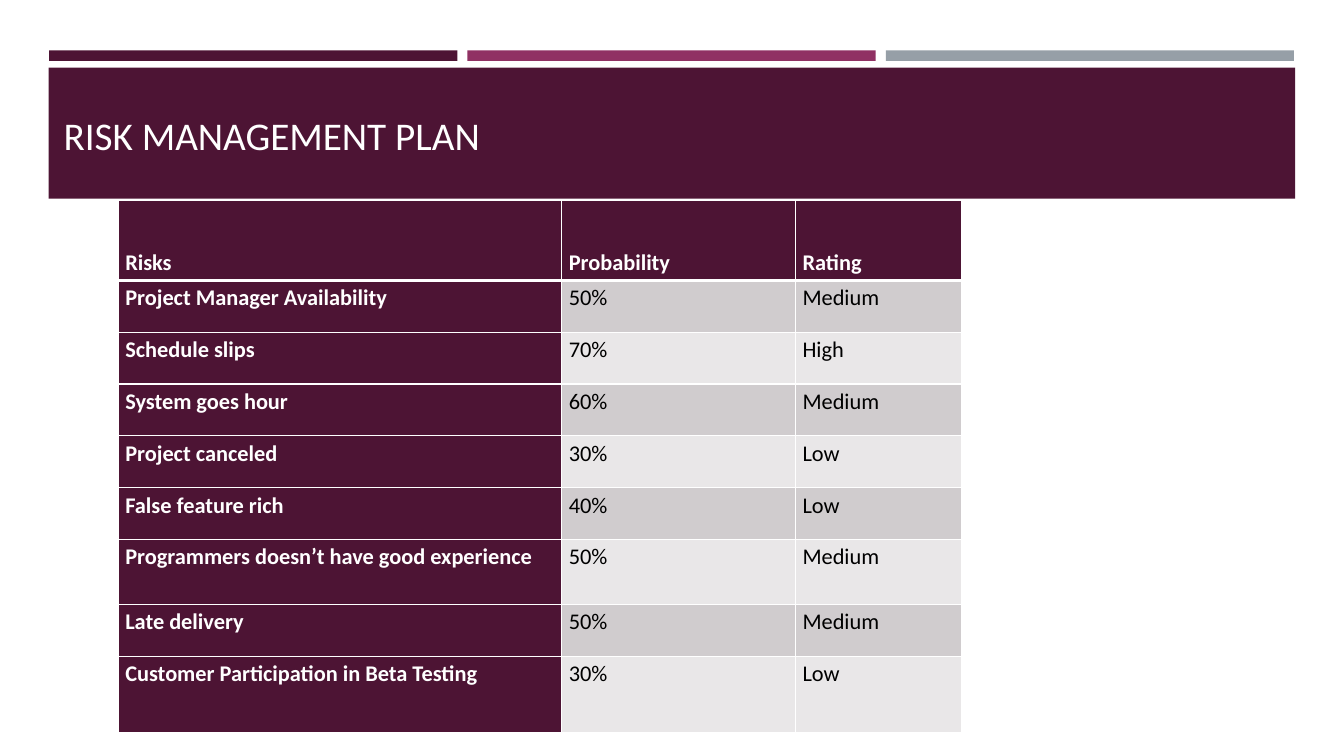
from dataclasses import dataclass

from lxml import etree
from pptx import Presentation
from pptx.dml.color import RGBColor
from pptx.enum.shapes import MSO_SHAPE
from pptx.enum.text import MSO_ANCHOR, MSO_AUTO_SIZE, PP_ALIGN
from pptx.oxml.ns import qn
from pptx.slide import Slide
from pptx.table import _Cell
from pptx.util import Pt

RECTANGLE = MSO_SHAPE.RECTANGLE
TOP, BOTTOM = MSO_ANCHOR.TOP, MSO_ANCHOR.BOTTOM
LEFT, JUSTIFY = PP_ALIGN.LEFT, PP_ALIGN.JUSTIFY
NO_AUTOFIT = MSO_AUTO_SIZE.NONE

PLUM = RGBColor(0x4D, 0x14, 0x34)
MAGENTA = RGBColor(0x90, 0x31, 0x63)
SLATE = RGBColor(0x96, 0x9F, 0xA7)
DARK_BAND = RGBColor(0xD0, 0xCC, 0xCE)
LIGHT_BAND = RGBColor(0xE9, 0xE7, 0xE8)
WHITE = RGBColor(0xFF, 0xFF, 0xFF)
BLACK = RGBColor(0x00, 0x00, 0x00)

FONT = "Calibri"
BAR_LEFT, BAR_PITCH = 35.1, 298.8
COLUMN_WIDTHS = (316.8, 167, 118.8)
HEADINGS = ("Risks", "Probability", "Rating")
HEADER_HEIGHT = 57.5
THIN, THICK = 1, 3


@dataclass
class Block:
    left: float
    top: float
    width: float
    height: float
    color: RGBColor


@dataclass
class Risk:
    name: str
    probability: str
    rating: str
    height: float = 37


RISKS = (
    Risk("Project Manager Availability", "50%", "Medium"),
    Risk("Schedule slips", "70%", "High"),
    Risk("System goes hour", "60%", "Medium"),
    Risk("Project canceled", "30%", "Low"),
    Risk("False feature rich", "40%", "Low"),
    Risk("Programmers doesn’t have good experience", "50%", "Medium", 46.5),
    Risk("Late delivery", "50%", "Medium"),
    Risk("Customer Participation in Beta Testing", "30%", "Low", 54.7),
)


def add_block(page: Slide, block: Block) -> None:
    box = page.shapes.add_shape(
        RECTANGLE, Pt(block.left), Pt(block.top), Pt(block.width), Pt(block.height)
    )
    box.shadow.inherit = False
    box.fill.solid()
    box.fill.fore_color.rgb = block.color
    box.line.fill.background()


def add_span(para, text: str, size: float, color: RGBColor, bold: bool) -> None:
    span = para.add_run()
    span.text = text
    span.font.name = FONT
    span.font.size = Pt(size)
    span.font.bold = bold
    span.font.color.rgb = color


def set_borders(cell: _Cell, top: float, bottom: float) -> None:
    properties = cell._tc.get_or_add_tcPr()
    for side, width in (("L", THIN), ("R", THIN), ("T", top), ("B", bottom)):
        line = etree.SubElement(properties, qn(f"a:ln{side}"), w=str(Pt(width)))
        fill = etree.SubElement(line, qn("a:solidFill"))
        etree.SubElement(fill, qn("a:srgbClr"), val=str(WHITE))


def fill_cell(cell: _Cell, text: str, fill: RGBColor, color: RGBColor, bold: bool) -> None:
    cell.margin_left = cell.margin_right = Pt(5.2)
    cell.margin_top = cell.margin_bottom = Pt(0)
    cell.vertical_anchor = TOP
    cell.fill.solid()
    cell.fill.fore_color.rgb = fill
    para = cell.text_frame.paragraphs[0]
    para.alignment = JUSTIFY
    para.line_spacing = 1.15
    add_span(para, text, 16, color, bold)


def add_title(page: Slide) -> None:
    title = page.shapes.title
    title.left, title.top = Pt(38.2), Pt(56.9)
    title.width, title.height = Pt(423.4), Pt(59.8)
    frame = title.text_frame
    frame.auto_size = NO_AUTOFIT
    frame.word_wrap = True
    frame.vertical_anchor = BOTTOM
    para = frame.paragraphs[0]
    para.alignment = LEFT
    add_span(para, "RISK MANAGEMENT PLAN", 28, WHITE, False)
    # Bring the title in front of its band
    title.element.getparent().append(title.element)


def add_risk_table(page: Slide) -> None:
    heights = [HEADER_HEIGHT] + [risk.height for risk in RISKS]
    table = page.shapes.add_table(
        len(heights), len(COLUMN_WIDTHS), Pt(84.3), Pt(142.8),
        Pt(sum(COLUMN_WIDTHS)), Pt(sum(heights)),
    ).table
    for column, width in zip(table.columns, COLUMN_WIDTHS):
        column.width = Pt(width)
    for row, height in zip(table.rows, heights):
        row.height = Pt(height)

    # Header row
    for index, heading in enumerate(HEADINGS):
        cell = table.cell(0, index)
        set_borders(cell, THIN, THICK)
        fill_cell(cell, heading, PLUM, WHITE, True)
        cell.vertical_anchor = BOTTOM
        cell.margin_bottom = Pt(2.7)

    # Risk rows, banded, with a plum first column
    for number, risk in enumerate(RISKS, start=1):
        band = DARK_BAND if number % 2 else LIGHT_BAND
        for index, text in enumerate((risk.name, risk.probability, risk.rating)):
            cell = table.cell(number, index)
            first = index == 0
            set_borders(cell, THICK if number == 1 else THIN, THIN)
            fill_cell(cell, text, PLUM if first else band, WHITE if first else BLACK, first)
            cell.text_frame.paragraphs[0].space_after = Pt(10)


def main() -> None:
    deck = Presentation()
    deck.slide_width, deck.slide_height = Pt(960), Pt(540)
    page = deck.slides.add_slide(deck.slide_layouts[5])

    # Three accent bars above the title band
    for index, color in enumerate((PLUM, MAGENTA, SLATE)):
        add_block(page, Block(BAR_LEFT + index * BAR_PITCH, 36, 291.6, 7.5, color))
    add_block(page, Block(34.8, 48.4, 890.4, 93.6, PLUM))

    add_title(page)
    add_risk_table(page)
    deck.save("out.pptx")


if __name__ == "__main__":
    main()
